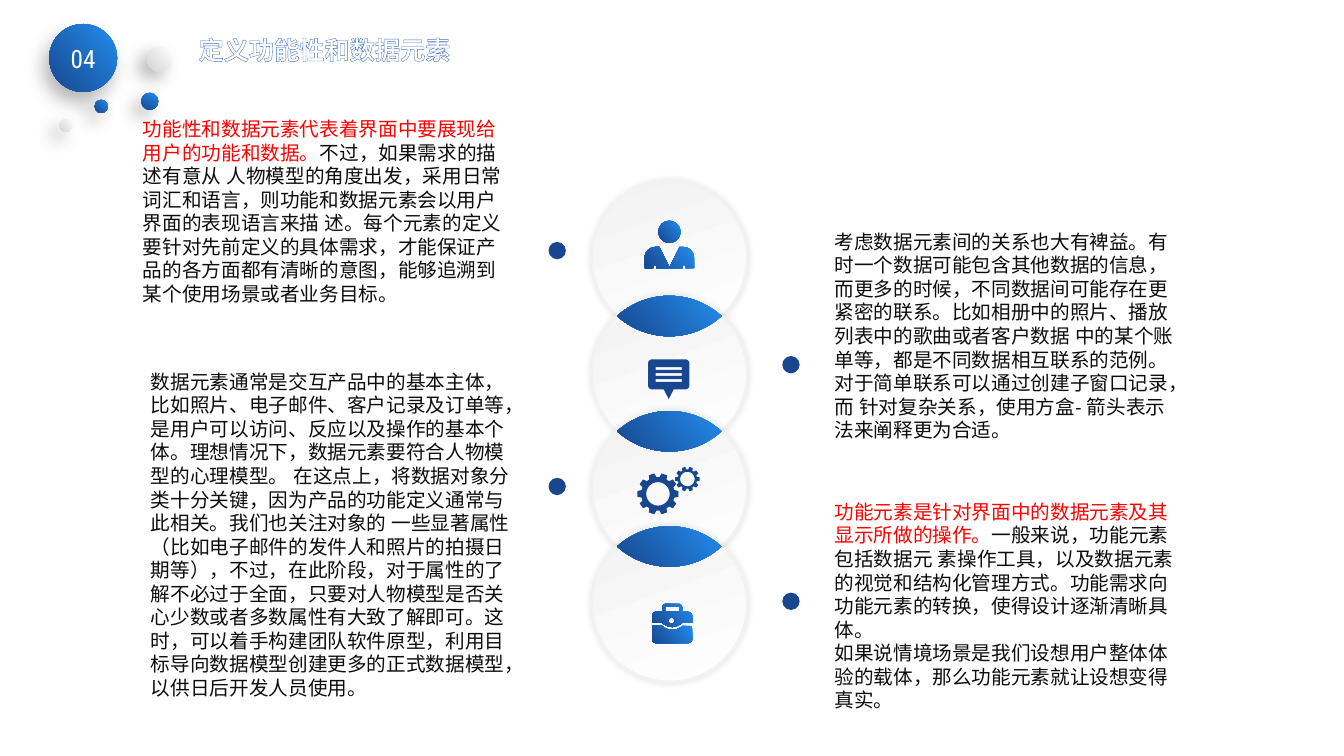
from dataclasses import dataclass
from math import acos, cos, degrees, radians, sin

from lxml.etree import SubElement
from pptx import Presentation
from pptx.dml.color import RGBColor
from pptx.enum.shapes import MSO_SHAPE as Preset
from pptx.enum.text import MSO_ANCHOR as Anchor, MSO_AUTO_SIZE as AutoSize, PP_ALIGN as Align
from pptx.oxml.ns import qn
from pptx.util import Pt


@dataclass(frozen=True)
class Theme:
    navy: str = "18478F"
    blue: tuple = ("238DED", "18478F", 140)  # first colour, last colour, clockwise angle
    blue_steep: tuple = ("238DED", "18478F", 120)
    silver: tuple = ("FFFFFF", "D4D2D3", 140)
    disc: tuple = ("FFFFFF", "F2F2F2", 250)
    rim: str = "F2F2F2"
    white: str = "FFFFFF"
    ink: str = "0D0D0D"
    red: str = "FF0000"
    title_edge: str = "4472C4"
    body_font: str = "Open Sans"
    title_font: str = "Noto Sans CJK SC"
    number_font: str = "Roboto Condensed"
    body_size: int = 14
    title_size: int = 18


T = Theme()
TITLE = "定义功能性和数据元素"
NUMBER = "04"

# left, top, width, height, then paragraphs of (text, colour) runs
PASSAGES = [
    (589, 160.6, 263.5, 160, [[("考虑数据元素间的关系也大有裨益。有时一个数据可能包含其他数据的信息，而更多的时候，不同数据间可能存在更紧密的联系。比如相册中的照片、播放列表中的歌曲或者客户数据 中的某个账单等，都是不同数据相互联系的范例。对于简单联系可以通过创建子窗口记录，而 针对复杂关系，使用方盒- 箭头表示法来阐释更为合适。", T.ink)]]),
    (95, 80, 272, 142.6, [[
        ("功能性和数据元素代表着界面中要展现给用户的功能和数据。", T.red),
        ("不过，如果需求的描述有意从 人物模型的角度出发，采用日常词汇和语言，则功能和数据元素会以用户界面的表现语言来描 述。每个元素的定义要针对先前定义的具体需求，才能保证产品的各方面都有清晰的意图，能够追溯到某个使用场景或者业务目标。", T.ink)]]),
    (589, 353.5, 263.5, 160, [
        [("功能元素是针对界面中的数据元素及其显示所做的操作。", T.red),
         ("一般来说，功能元素包括数据元 素操作工具，以及数据元素的视觉和结构化管理方式。功能需求向功能元素的转换，使得设计逐渐清晰具体。", T.ink)],
        [("如果说情境场景是我们设想用户整体体验的载体，那么功能元素就让设想变得", T.ink)],
        [("真实。", T.ink)]]),
    (100.8, 260.6, 272, 245, [[("数据元素通常是交互产品中的基本主体，比如照片、电子邮件、客户记录及订单等，是用户可以访问、反应以及操作的基本个体。理想情况下，数据元素要符合人物模型的心理模型。 在这点上，将数据对象分类十分关键，因为产品的功能定义通常与此相关。我们也关注对象的 一些显著属性（比如电子邮件的发件人和照片的拍摄日期等），不过，在此阶段，对于属性的了 解不必过于全面，只要对人物模型是否关心少数或者多数属性有大致了解即可。这时，可以着手构建团队软件原型，利用目标导向数据模型创建更多的正式数据模型，以供日后开发人员使用。", T.ink)]]),
]

# centre x, centre y, diameter, gradient
BUBBLES = [(114, 42.1, 18, T.silver), (47.2, 89.6, 9.4, T.silver),
           (72.4, 76, 9.4, T.blue), (107, 72.4, 12.2, T.blue_steep)]
MARKERS = [(395, 179), (562, 260.5), (395, 347.5), (562, 429.5)]
AXIS, FIRST_DISC, PITCH, RADIUS, DISCS = 478.2, 184.6, 82.3, 55.6, 4
BUBBLE_SHADOW = (30, 13, 8, 135)  # opacity, blur, distance, angle

deck = Presentation()
deck.slide_width, deck.slide_height = Pt(960), Pt(540)
slide = deck.slides.add_slide(deck.slide_layouts[5])
shapes = slide.shapes


def paint(shape, fill, rim=None, shadow=None):
    if isinstance(fill, tuple):
        shape.fill.gradient()
        shape.fill.gradient_angle = 360 - fill[2]
        for stop, colour in zip(shape.fill.gradient_stops, fill):
            stop.color.rgb = RGBColor.from_string(colour)
    else:
        shape.fill.solid()
        shape.fill.fore_color.rgb = RGBColor.from_string(fill)
    if rim:
        shape.line.color.rgb = RGBColor.from_string(rim)
        shape.line.width = Pt(2)
    else:
        shape.line.fill.background()
    shape.shadow.inherit = False
    if shadow:
        opacity, blur, distance, angle = shadow
        effects = shape._element.spPr.find(qn("a:effectLst"))
        outer = SubElement(effects, qn("a:outerShdw"), blurRad=str(Pt(blur)), dist=str(Pt(distance)),
                           dir=str(angle * 60000), algn="ctr", rotWithShape="0")
        black = SubElement(outer, qn("a:srgbClr"), val="000000")
        SubElement(black, qn("a:alpha"), val=str(opacity * 1000))


def circle(x, y, diameter, fill, **finish):
    corner = Pt(x - diameter / 2), Pt(y - diameter / 2)
    disc = shapes.add_shape(Preset.OVAL, *corner, Pt(diameter), Pt(diameter))
    paint(disc, fill, **finish)
    return disc


def outline(fill, *contours):
    """Draw closed contours as one shape; inner contours become holes."""
    builder = None
    for contour in contours:
        (x, y), *rest = [(Pt(px), Pt(py)) for px, py in contour]
        if builder:
            builder.move_to(x, y)
        else:
            builder = shapes.build_freeform(x, y)
        builder.add_line_segments(rest, close=True)
    paint(builder.convert_to_shape(), fill)


def arc(x, y, radius, start, end, steps=24):
    angles = [radians(start + (end - start) * i / steps) for i in range(steps + 1)]
    return [(x + radius * cos(a), y + radius * sin(a)) for a in angles]


def box(left, top, right, bottom, radius=0):
    if not radius:
        return [(left, top), (right, top), (right, bottom), (left, bottom)]
    corners = [(left, top, 180), (right, top, 270), (right, bottom, 0), (left, bottom, 90)]
    return [p for x, y, a in corners
            for p in arc(x + radius * (1 if x == left else -1),
                         y + radius * (1 if y == top else -1), radius, a, a + 90, 6)]


def gear(x, y, tip, root, hole, teeth=10):
    profile = [(root, -13), (tip, -8), (tip, 8), (root, 13)]
    rim = [(x + r * cos(radians(a)), y + r * sin(radians(a)))
           for tooth in range(teeth) for r, offset in profile
           for a in [tooth * 360 / teeth + offset]]
    outline(T.navy, rim, arc(x, y, hole, 0, 360))


def sag(x, y, half, depth, steps=12):
    """Points of a hanging curve from left to right."""
    spans = [2 * i / steps - 1 for i in range(steps + 1)]
    return [(x + half * s, y + depth * (1 - s * s)) for s in spans]


def write(paragraph, text, font, size, colour, bold=None):
    run = paragraph.add_run()
    run.text = text
    run.font.name, run.font.size, run.font.bold = font, Pt(size), bold
    run.font.color.rgb = RGBColor.from_string(colour)
    SubElement(run._r.get_or_add_rPr(), qn("a:ea"), typeface=font)
    return run


def draw_person():
    circle(AXIS, 165.6, 15.8, T.blue)
    half = [(-9.4, 191.5), (-9.4, 189.3), (-11.6, 189.3), (-11.6, 191.5), (-17.6, 191.5),
            *arc(-10.1, 183.9, 7.5, 180, 270, 8), (-7.2, 176.4), (0, 190.8)]
    mirrored = [(-x, y) for x, y in reversed(half[:-1])]
    outline(T.blue, [(AXIS + x, y) for x, y in half + mirrored])


def draw_message():
    x = 477.7
    outline(T.navy, [(x - 4, 277.2), (x + 4, 277.2), (x, 285.1)])
    bars = [box(x - 9.4, y, x + 9.4, y + 2) for y in (262.2, 266.5, 270.8)]
    outline(T.navy, box(x - 14.8, 256.7, x + 14.8, 278.2, 3), *bars)


def draw_briefcase():
    x, half = 480.2, 14.4
    outline(T.blue, [(x - half, 447.1), *sag(x, 447.1, 7.2, 2.9), (x + half, 447.1),
                     *arc(x + half - 3, 456.4, 3, 0, 90, 6), *arc(x - half + 3, 456.4, 3, 90, 180, 6)])
    lid = [(x - half, 445), *arc(x - half + 3, 440, 3, 180, 270, 6), (x - 7.2, 437),
           *arc(x - 4.3, 434.2, 2.9, 180, 270, 6), *arc(x + 4.3, 434.2, 2.9, 270, 360, 6),
           (x + 7.2, 437), *arc(x + half - 3, 440, 3, 270, 360, 6), (x + half, 445),
           *reversed(sag(x, 445, 7.2, 2.9))]
    outline(T.blue, lid, box(x - 5, 433.4, x + 5, 437), arc(x - 0.5, 443.3, 2.1, 0, 360))


def main():
    for i in range(DISCS):
        circle(AXIS, FIRST_DISC + i * PITCH, 2 * RADIUS, T.disc, rim=T.rim, shadow=(11, 5, 0, 0))
    reach = degrees(acos(PITCH / 2 / RADIUS))
    for i in range(DISCS - 1):
        upper = FIRST_DISC + i * PITCH
        outline(T.blue, arc(AXIS, upper, RADIUS, 90 - reach, 90 + reach)
                + arc(AXIS, upper + PITCH, RADIUS, 270 - reach, 270 + reach))
    draw_person()
    draw_message()
    gear(470, 352.8, 14.8, 12, 8.4)
    gear(491, 342.2, 8.8, 6.9, 5.2)
    draw_briefcase()

    for left, top, width, height, paragraphs in PASSAGES:
        frame = shapes.add_textbox(Pt(left), Pt(top), Pt(width), Pt(height)).text_frame
        frame.word_wrap, frame.auto_size = True, AutoSize.SHAPE_TO_FIT_TEXT
        for i, runs in enumerate(paragraphs):
            paragraph = frame.add_paragraph() if i else frame.paragraphs[0]
            for text, colour in runs:
                write(paragraph, text, T.body_font, T.body_size, colour)
    for x, y in MARKERS:
        circle(x + 3, y, 12.4, T.navy)

    title = shapes.title
    title.left, title.top, title.width, title.height = Pt(134.6), Pt(20.9), Pt(218), Pt(29)
    frame = title.text_frame
    frame.word_wrap, frame.auto_size, frame.vertical_anchor = True, AutoSize.NONE, Anchor.TOP
    frame.paragraphs[0].alignment = Align.LEFT
    run = write(frame.paragraphs[0], TITLE, T.title_font, T.title_size, T.white, True)
    edge = SubElement(run._r.rPr, qn("a:ln"), w=str(Pt(0.8)))
    SubElement(SubElement(edge, qn("a:solidFill")), qn("a:srgbClr"), val=T.title_edge)
    run._r.rPr.insert(0, edge)

    badge = circle(59.4, 41.4, 48.5, T.blue, shadow=(30, 14, 8, 120))
    frame = badge.text_frame
    frame.word_wrap, frame.vertical_anchor = False, Anchor.MIDDLE
    frame.paragraphs[0].alignment = Align.CENTER
    write(frame.paragraphs[0], NUMBER, T.number_font, T.title_size, T.white)
    for x, y, diameter, fill in BUBBLES:
        circle(x, y, diameter, fill, shadow=BUBBLE_SHADOW)
    deck.save("out.pptx")


if __name__ == "__main__":
    main()
